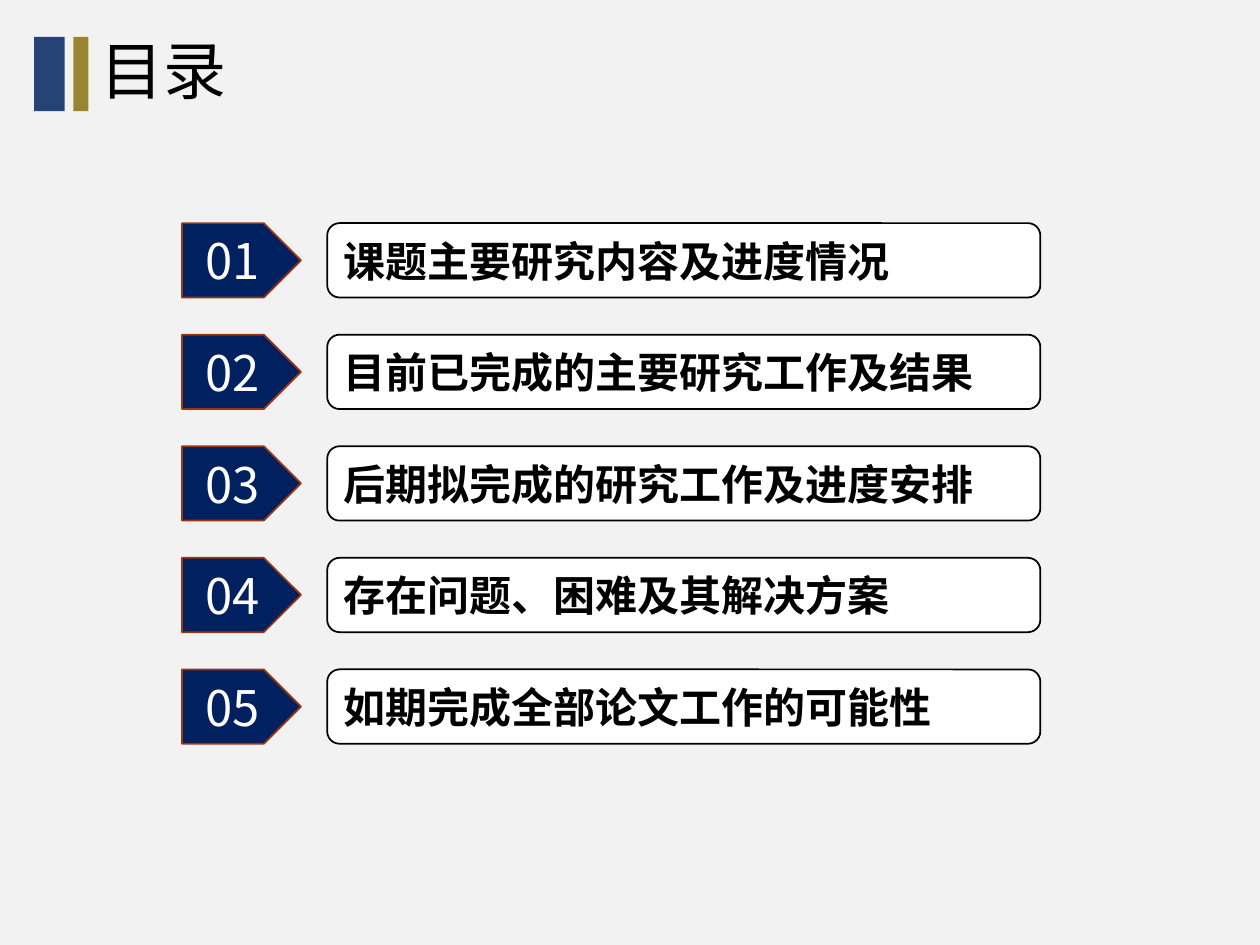
from pptx import Presentation
from pptx.util import Pt
from pptx.dml.color import RGBColor
from pptx.enum.shapes import MSO_SHAPE as Form
from pptx.enum.text import PP_ALIGN as Align, MSO_ANCHOR as Anchor, MSO_AUTO_SIZE as Fit
from pptx.oxml.ns import qn
from lxml.etree import SubElement

TITLE = "目录"
ITEMS = [
    "课题主要研究内容及进度情况",
    "目前已完成的主要研究工作及结果",
    "后期拟完成的研究工作及进度安排",
    "存在问题、困难及其解决方案",
    "如期完成全部论文工作的可能性",
]
THEME = {
    "back": "F2F2F2", "blue": "254375", "gold": "998530",
    "navy": "002060", "rust": "9C3511", "white": "FFFFFF", "black": "000000",
    "asian": "Noto Sans CJK SC",
    "title": ("Arial", 36, False),
    "num": ("Noto Sans CJK SC", 28, False),
    "item": ("Calibri", 24, True),
}
HEAD, HIGH = 21, 42.5
BARS = [(19.5, 17.5, "blue"), (42, 8.5, "gold")]
TOP, STEP = 127.5, 63.75
TAG, BOX = (104, 68), (187, 407.5)


def color(name):
    return RGBColor.from_string(THEME[name])


def write(shape, text, style, ink, align):
    frame = shape.text_frame
    frame.text = text
    frame.word_wrap = True
    frame.auto_size = Fit.NONE
    frame.vertical_anchor = Anchor.MIDDLE
    para = frame.paragraphs[0]
    para.alignment = align
    font = para.runs[0].font
    name, size, font.bold = THEME[style]
    font.name, font.size = name, Pt(size)
    font.color.rgb = color(ink)
    SubElement(font._element, qn("a:ea")).set("typeface", THEME["asian"])
    return para


def block(slide, form, span, top, fill, line=None):
    left, wide = span
    shape = slide.shapes.add_shape(form, Pt(left), Pt(top), Pt(wide), Pt(HIGH))
    shape.shadow.inherit = False
    shape.fill.solid()
    shape.fill.fore_color.rgb = color(fill)
    if line:
        shape.line.color.rgb = color(line)
        shape.line.width = Pt(1)
    else:
        shape.line.fill.background()
    return shape


def main():
    deck = Presentation()
    deck.slide_width, deck.slide_height = Pt(720), Pt(540)
    slide = deck.slides.add_slide(deck.slide_layouts[5])
    slide.background.fill.solid()
    slide.background.fill.fore_color.rgb = color("back")

    for left, wide, fill in BARS:
        block(slide, Form.RECTANGLE, (left, wide), HEAD, fill)

    title = slide.shapes.title
    title.left, title.top, title.width, title.height = map(Pt, (50.5, HEAD, 267, HIGH))
    write(title, TITLE, "title", "black", Align.LEFT).line_spacing = 0.9

    for i, text in enumerate(ITEMS):
        top = TOP + i * STEP
        tag = block(slide, Form.PENTAGON, TAG, top, "navy", "rust")
        write(tag, f"{i + 1:02d}", "num", "white", Align.CENTER)
        box = block(slide, Form.ROUNDED_RECTANGLE, BOX, top, "white", "black")
        write(box, text, "item", "black", Align.LEFT)

    deck.save("out.pptx")


if __name__ == "__main__":
    main()
